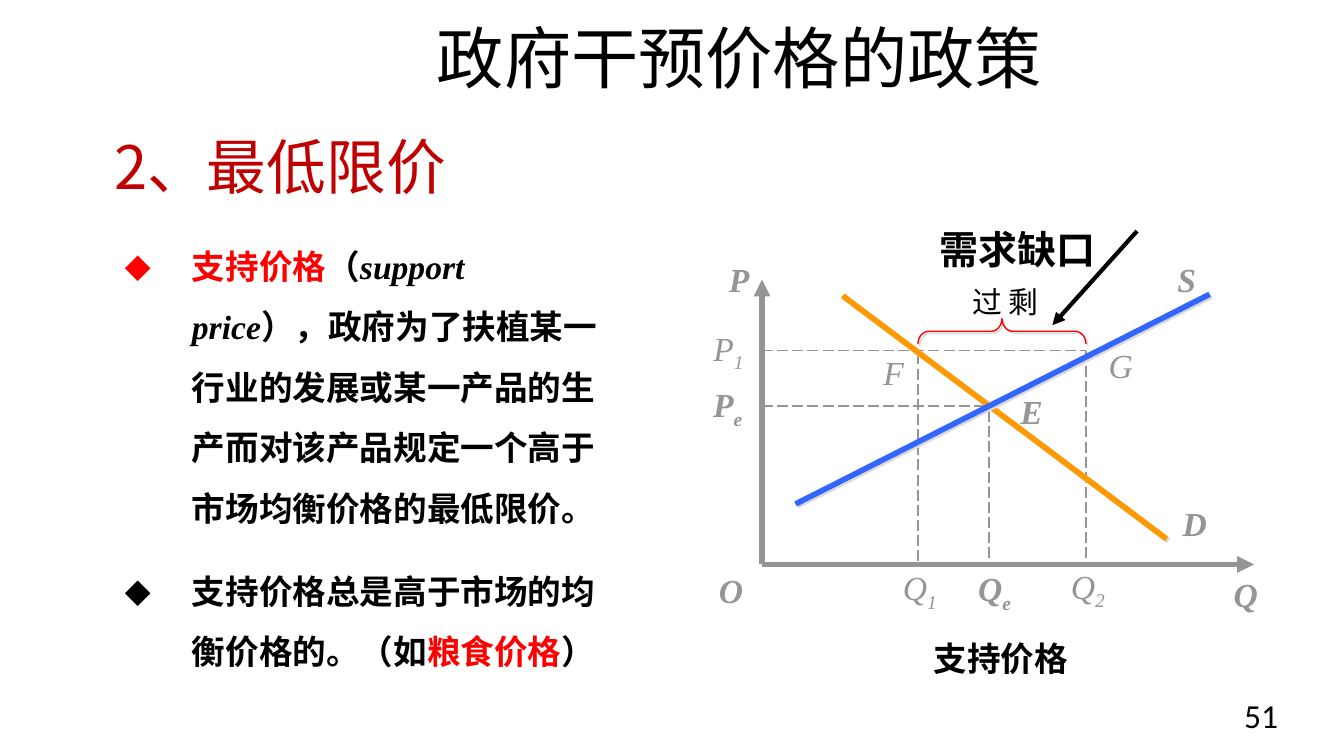
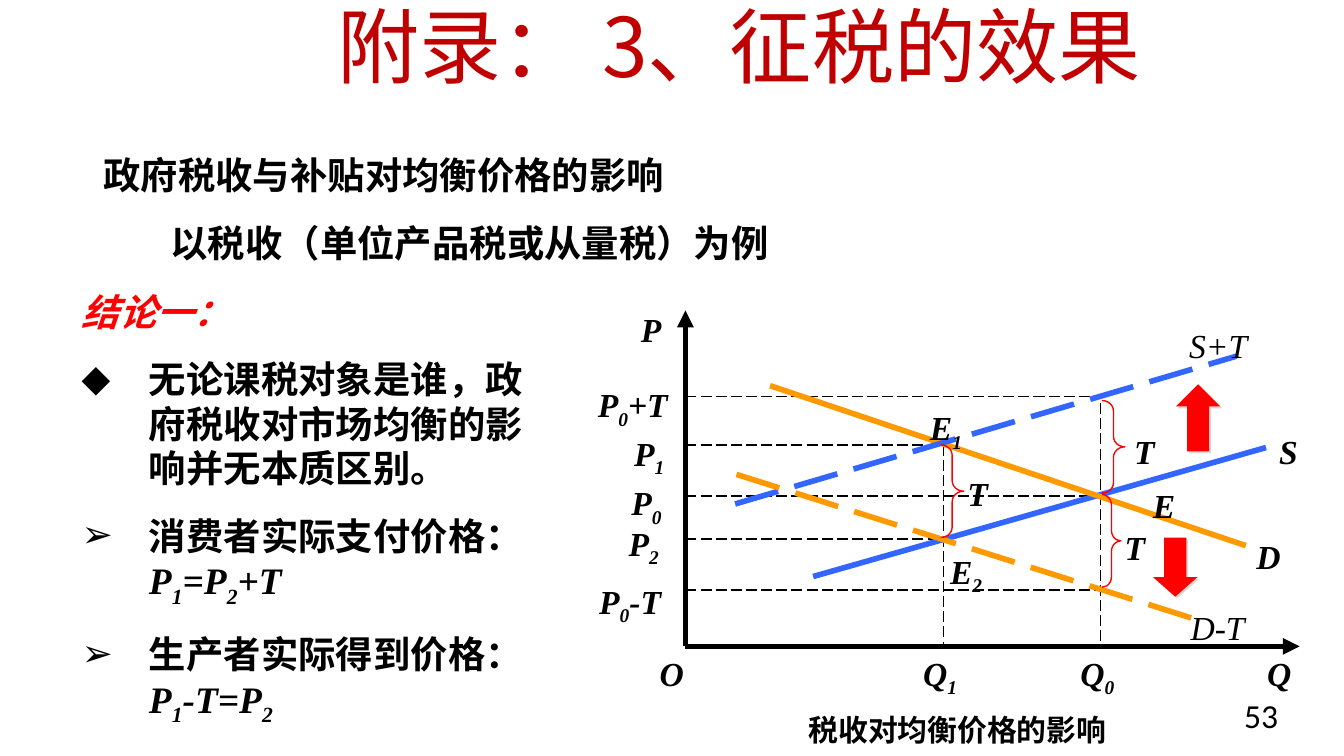
"""Build two slides on price floors and the effect of a tax."""
from dataclasses import dataclass, replace

from lxml.etree import SubElement
from pptx import Presentation
from pptx.dml.color import RGBColor
from pptx.enum.dml import MSO_LINE
from pptx.enum.shapes import MSO_CONNECTOR, MSO_SHAPE
from pptx.enum.text import MSO_ANCHOR, MSO_AUTO_SIZE, PP_ALIGN
from pptx.oxml.ns import qn
from pptx.util import Inches, Pt

BLACK, RED, DARK_RED, GRAY = "000000", "FF0000", "C00000", "959596"
ORANGE, BLUE, SHADOW = "FF9900", "3366FF", "D9D9D9"
SANS, SERIF, CJK, NARROW = "Calibri", "Times New Roman", "Noto Sans CJK SC", "Arial Narrow"
LABEL_HEIGHT = 0.4
TITLE_ONLY = 5

Point = tuple[float, float]
Box = tuple[float, float, float, float]


@dataclass(frozen=True)
class Style:
    """Character format of a run."""
    size: float = 18
    font: str = SANS
    color: str = BLACK
    bold: bool = False
    italic: bool = False
    lowered: bool = False
    east_asian: str = SANS


@dataclass(frozen=True)
class TextParagraph:
    """Paragraph of (text, style) runs with its layout."""
    runs: tuple[tuple[str, Style], ...]
    align: PP_ALIGN = PP_ALIGN.LEFT
    spacing: float = 1.0
    before: float = 0
    margin: float = 0
    bullet: str = ""


@dataclass(frozen=True)
class Label:
    """Short graph label; an underscore lowers the next character."""
    text: str
    left: float
    top: float
    width: float
    bold: bool = True


@dataclass(frozen=True)
class Curve:
    """Straight supply or demand curve."""
    start: Point
    end: Point
    color: str
    dashed: bool = False
    shadow: bool = False


@dataclass(frozen=True)
class Mark:
    """Brace or block arrow on a graph."""
    kind: MSO_SHAPE
    box: Box
    adjustments: Point
    rotation: float = 0
    filled: bool = False
    shadow: bool = False


@dataclass(frozen=True)
class Graph:
    """Axes, guides as (level, reach), curves, marks and labels."""
    origin: Point
    top: float
    right: float
    color: str
    align: PP_ALIGN
    horizontals: tuple[Point, ...]
    verticals: tuple[Point, ...]
    curves: tuple[Curve, ...]
    marks: tuple[Mark, ...]
    labels: tuple[Label, ...]


def paint(fill, color: str) -> None:
    """Fill a shape, line or font with a hex colour."""
    fill.solid()
    fill.fore_color.rgb = RGBColor.from_string(color)


def set_shadow(shape, visible: bool) -> None:
    """Give a shape a small offset shadow, or none."""
    effects = SubElement(shape.element.spPr, qn("a:effectLst"))
    if visible:
        outer = SubElement(effects, qn("a:outerShdw"), dist=str(Pt(1.4)), dir="2700000")
        SubElement(outer, qn("a:srgbClr"), val=SHADOW)


def add_run(paragraph, text: str, style: Style) -> None:
    """Append one formatted run."""
    if not text:
        return
    run = paragraph.add_run()
    run.text = text
    formats = {"size": Pt(style.size), "name": style.font, "bold": style.bold, "italic": style.italic}
    for name, value in formats.items():
        setattr(run.font, name, value)
    paint(run.font.fill, style.color)
    properties = run._r.get_or_add_rPr()
    SubElement(properties, qn("a:ea"), typeface=style.east_asian)
    if style.lowered:
        properties.set("baseline", "-25000")


def write_paragraph(paragraph, content: TextParagraph) -> None:
    """Write runs and paragraph format."""
    formats = {"alignment": content.align, "line_spacing": content.spacing,
               "space_before": Pt(content.before)}
    for name, value in formats.items():
        setattr(paragraph, name, value)
    properties = paragraph._p.get_or_add_pPr()
    indent = Inches(-content.margin if content.bullet else 0)
    for name, value in {"marL": Inches(content.margin), "indent": indent, "hangingPunct": 0}.items():
        properties.set(name, str(value))
    if content.bullet:
        SubElement(properties, qn("a:buFont"), typeface=SANS)
        SubElement(properties, qn("a:buChar"), char=content.bullet)
    for text, style in content.runs:
        first, *lowered = text.split("_")
        add_run(paragraph, first, style)
        for part in lowered:
            add_run(paragraph, part[0], replace(style, lowered=True))
            add_run(paragraph, part[1:], style)


def add_text(slide, box: Box, *contents: TextParagraph, wrap: bool = True,
             anchor: MSO_ANCHOR = MSO_ANCHOR.TOP) -> None:
    """Add a text box; one that does not wrap fits its text."""
    frame = slide.shapes.add_textbox(*map(Inches, box)).text_frame
    formats = {"word_wrap": wrap, "vertical_anchor": anchor,
               "auto_size": MSO_AUTO_SIZE.NONE if wrap else MSO_AUTO_SIZE.SHAPE_TO_FIT_TEXT}
    for name, value in formats.items():
        setattr(frame, name, value)
    for index, content in enumerate(contents):
        write_paragraph(frame.add_paragraph() if index else frame.paragraphs[0], content)


def add_line(slide, start: Point, end: Point, color: str, width: float,
             dashed: bool = False, arrow: bool = False, shadow: bool = False) -> None:
    """Draw a straight line, with an arrowhead at its end if asked."""
    line = slide.shapes.add_connector(MSO_CONNECTOR.STRAIGHT, *map(Inches, start + end))
    paint(line.line.fill, color)
    line.line.width = Pt(width)
    if dashed:
        line.line.dash_style = MSO_LINE.LONG_DASH
    if arrow:
        SubElement(line.element.spPr.find(qn("a:ln")), qn("a:tailEnd"), type="triangle")
    set_shadow(line, shadow)


def add_mark(slide, mark: Mark) -> None:
    """Draw a red outlined brace or filled arrow."""
    shape = slide.shapes.add_shape(mark.kind, *map(Inches, mark.box))
    shape.rotation = mark.rotation
    for index, value in enumerate(mark.adjustments):
        shape.adjustments[index] = value
    if mark.filled:
        paint(shape.fill, RED)
        shape.line.fill.background()
    else:
        shape.fill.background()
        paint(shape.line.fill, RED)
        shape.line.width = Pt(0.75)
    set_shadow(shape, mark.shadow)


def draw_graph(slide, graph: Graph) -> None:
    """Draw guides, axes, curves, marks and labels."""
    left, base = graph.origin
    for y, reach in graph.horizontals:
        add_line(slide, (left, y), (reach, y), graph.color, 0.75, dashed=True)
    for x, reach in graph.verticals:
        add_line(slide, (x, reach), (x, base), graph.color, 0.75, dashed=True)
    for tip in ((left, graph.top), (graph.right, base)):
        add_line(slide, graph.origin, tip, graph.color, 3, arrow=True)
    for curve in graph.curves:
        add_line(slide, curve.start, curve.end, curve.color, 3, curve.dashed, shadow=curve.shadow)
    for mark in graph.marks:
        add_mark(slide, mark)
    for label in graph.labels:
        style = Style(font=SERIF, color=graph.color, bold=label.bold, italic=True)
        add_text(slide, (label.left, label.top, label.width, LABEL_HEIGHT),
                 TextParagraph(((label.text, style),), graph.align), wrap=False)


def add_titled_slide(presentation, title: str, top: float, style: Style, number: int):
    """Add a slide with its title and page number."""
    slide = presentation.slides.add_slide(presentation.slide_layouts[TITLE_ONLY])
    shape = slide.shapes.title
    for name, value in {"left": 1, "top": top, "width": 9, "height": 0.81}.items():
        setattr(shape, name, Inches(value))
    shape.text_frame.vertical_anchor = MSO_ANCHOR.TOP
    write_paragraph(shape.text_frame.paragraphs[0],
                    TextParagraph(((title, style),), PP_ALIGN.CENTER, spacing=0.9))
    add_text(slide, (7.11, 5.12, 2.5, 0.39), TextParagraph(((str(number), Style()),), PP_ALIGN.RIGHT))
    return slide


def build_price_floor(presentation) -> None:
    """Build the slide on the minimum price."""
    slide = add_titled_slide(presentation, "政府干预价格的政策", 0.14, Style(36, east_asian=CJK), 51)
    body = Style(bold=True)
    red, serif = replace(body, color=RED), replace(body, font=SERIF)
    bullet = TextParagraph((), spacing=1.5, before=12, margin=0.5, bullet="◆")
    add_text(slide, (0.83, 1.63, 3.78, 3.18),
             replace(bullet, runs=(
                 ("支持价格", red), ("（", serif), ("support price", replace(serif, italic=True)),
                 ("），", serif),
                 ("政府为了扶植某一行业的发展或某一产品的生产而对该产品规定一个高于市场均衡价格的最低限价。", body))),
             replace(bullet, runs=(
                 ("支持价格总是高于市场的均衡价格的。（如", body), ("粮食价格", red), ("）", body))))
    draw_graph(slide, Graph(
        origin=(5.67, 4.2), top=2.08, right=9.33, color=GRAY, align=PP_ALIGN.CENTER,
        horizontals=((2.61, 8.08), (3.02, 7.33)),
        verticals=((6.83, 2.63), (8.08, 2.61), (7.36, 3.06)),
        curves=(Curve((6.27, 2.2), (8.68, 4.01), ORANGE, shadow=True),
                Curve((5.92, 3.75), (9, 2.19), BLUE, shadow=True)),
        marks=(Mark(MSO_SHAPE.LEFT_BRACE, (7.36, 1.84, 0.19, 1.25), (0.42, 0.5), 90, shadow=True),),
        labels=(Label("Q_1", 6.61, 4.17, 0.47, False), Label("Q_2", 7.86, 4.16, 0.47, False),
                Label("P_1", 5.2, 2.39, 0.44, False), Label("F", 6.47, 2.57, 0.36, False),
                Label("G", 8.15, 2.52, 0.33, False), Label("Q", 9.08, 4.22, 0.38),
                Label("O", 5.25, 4.19, 0.33), Label("Q_e", 7.17, 4.18, 0.46),
                Label("P", 5.32, 1.88, 0.36), Label("P_e", 5.2, 2.81, 0.43),
                Label("D", 8.7, 3.69, 0.38), Label("S", 8.58, 1.88, 0.5),
                Label("E", 7.49, 2.86, 0.37))))
    add_text(slide, (7.02, 2.06, 0.92, 0.37),
             TextParagraph((("过 剩", Style(16, SERIF)),), PP_ALIGN.CENTER))
    add_text(slide, (6.34, 4.7, 2.21, 0.4), TextParagraph((("支持价格", body),), PP_ALIGN.CENTER))
    heading = Style(32, CJK, DARK_RED, east_asian=CJK)
    add_text(slide, (0.75, 0.92, 4.49, 0.62),
             TextParagraph((("2、最低限价", heading),)), anchor=MSO_ANCHOR.MIDDLE)
    add_line(slide, (8.46, 1.72), (7.83, 2.42), BLACK, 2.25, arrow=True)
    gap = Style(36, NARROW, bold=True, lowered=True, east_asian=NARROW)
    add_text(slide, (6.89, 1.16, 2.05, 1.27), TextParagraph((("需求缺口", gap),), spacing=1.2))


def build_tax_effect(presentation) -> None:
    """Build the slide on the effect of a tax."""
    heading = Style(44, CJK, DARK_RED, east_asian=CJK)
    slide = add_titled_slide(presentation, "附录： 3、征税的效果", 0, heading, 53)
    body = Style(20, bold=True)
    serif = replace(body, font=SERIF)
    formula = replace(serif, italic=True)
    add_text(slide, (0.67, 0.92, 8.92, 1.06),
             TextParagraph((("政府税收与补贴对均衡价格的影响", body),), spacing=1.5),
             TextParagraph((("以税收（单位产品税或从量税）为例", serif),), spacing=1.5, margin=0.5))
    bullet = TextParagraph((), before=12, margin=0.5, bullet="➢")
    add_text(slide, (0.51, 2.1, 3.7, 3.36),
             TextParagraph((("结论一：", replace(formula, color=RED)),), before=12),
             replace(bullet, bullet="◆", runs=(
                 ("无论课税对象是谁，政府税收对市场均衡的影响并无本质区别。", serif),)),
             replace(bullet, runs=(("消费者实际支付价格：", serif), ("P_1=P_2+T", formula))),
             replace(bullet, runs=(("生产者实际得到价格： ", serif), ("P_1-T=P_2", formula))))
    brace = MSO_SHAPE.RIGHT_BRACE
    draw_graph(slide, Graph(
        origin=(5.1, 4.81), top=2.31, right=9.67, color=BLACK, align=PP_ALIGN.LEFT,
        horizontals=((2.95, 8.2), (3.31, 7.02), (3.69, 8.19), (4.01, 7.03), (4.39, 8.2)),
        verticals=((7.02, 3.31), (8.19, 3)),
        curves=(Curve((6.05, 4.29), (9.42, 3.33), BLUE), Curve((9.27, 4.06), (5.73, 2.87), ORANGE),
                Curve((5.47, 3.75), (9.2, 2.65), BLUE, dashed=True),
                Curve((5.48, 3.53), (8.87, 4.6), ORANGE, dashed=True)),
        marks=(Mark(brace, (7, 3.31, 0.17, 0.69), (0.46, 0.5)),
               Mark(brace, (8.2, 2.98, 0.17, 0.69), (0.46, 0.5)),
               Mark(brace, (8.2, 3.68, 0.14, 0.69), (0.56, 0.5)),
               Mark(MSO_SHAPE.UP_ARROW, (8.75, 2.86, 0.33, 0.5), (0.5, 0.5), filled=True, shadow=True),
               Mark(MSO_SHAPE.DOWN_ARROW, (8.58, 4, 0.33, 0.44), (0.5, 0.44), filled=True, shadow=True)),
        labels=(Label("D", 9.25, 3.94, 0.38), Label("S", 9.42, 3.16, 0.34),
                Label("O", 4.81, 4.81, 0.38), Label("P", 4.67, 2.25, 0.36),
                Label("Q", 9.33, 4.81, 0.38), Label("P_0", 4.6, 3.54, 0.44),
                Label("Q_0", 7.94, 4.81, 0.47), Label("E", 8.48, 3.56, 0.37),
                Label("S+T", 8.75, 2.37, 0.67, False), Label("P_1", 4.62, 3.17, 0.44),
                Label("Q_1", 6.77, 4.81, 0.47), Label("E_1", 6.82, 2.98, 0.45),
                Label("T", 7.1, 3.47, 0.34), Label("T", 8.34, 3.16, 0.34),
                Label("T", 8.27, 3.87, 0.34), Label("P_0+T", 4.35, 2.81, 0.74),
                Label("D-T", 8.76, 4.47, 0.61, False), Label("P_2", 4.58, 3.84, 0.44),
                Label("E_2", 6.97, 4.05, 0.45), Label("P_0-T", 4.36, 4.27, 0.67))))
    add_text(slide, (5.55, 5.25, 3.15, 0.37),
             TextParagraph((("税收对均衡价格的影响", Style(16, bold=True)),), PP_ALIGN.CENTER))


def main() -> None:
    """Build and save the presentation."""
    presentation = Presentation()
    presentation.slide_width = Inches(10)
    presentation.slide_height = presentation.slide_width * 9 // 16
    build_price_floor(presentation)
    build_tax_effect(presentation)
    presentation.save("out.pptx")


if __name__ == "__main__":
    main()
